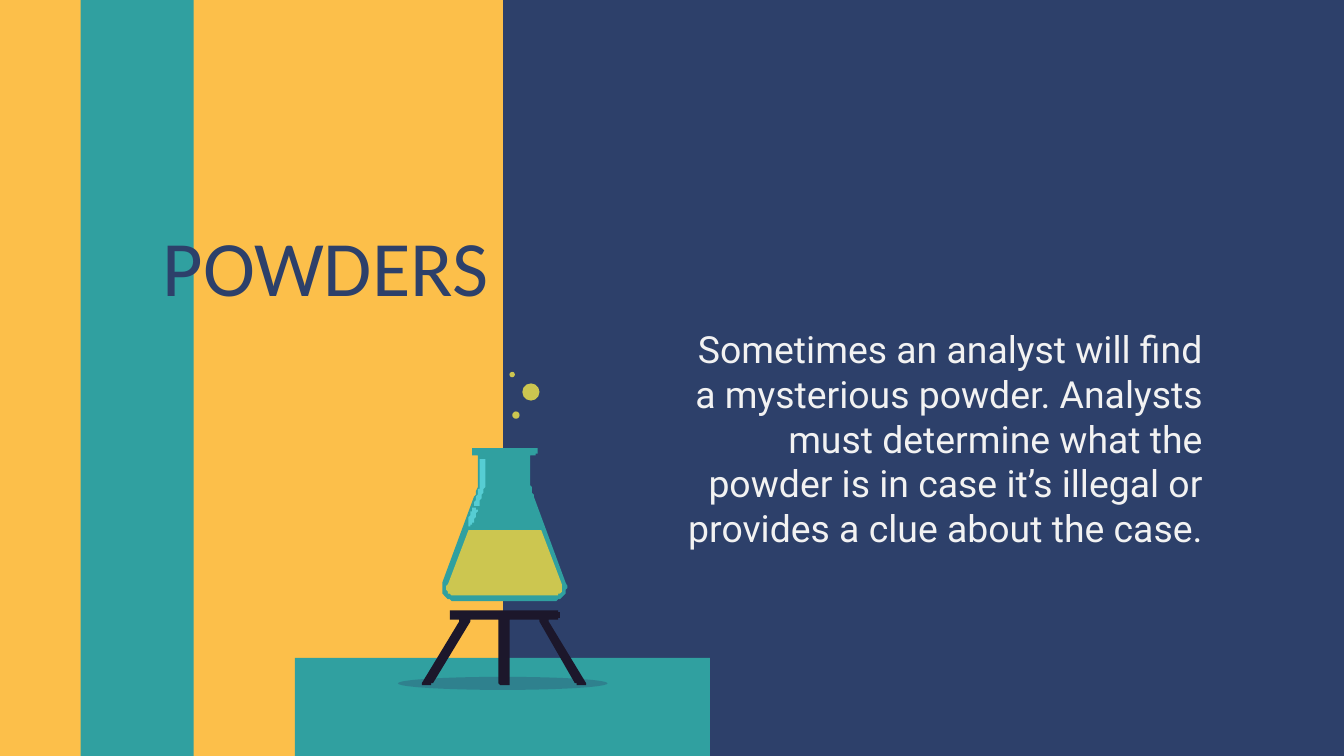
from dataclasses import dataclass

from lxml.etree import SubElement
from pptx import Presentation
from pptx.dml.color import RGBColor as Rgb
from pptx.enum.shapes import MSO_SHAPE as Preset
from pptx.enum.text import MSO_ANCHOR as Anchor, MSO_AUTO_SIZE as AutoSize, PP_ALIGN as Align
from pptx.oxml.ns import qn
from pptx.util import Pt

Point = tuple[float, float]
# A path step is (x, y) for a line or (x1, y1, x2, y2, x, y) for a curve.
Step = tuple[float, ...]


@dataclass(frozen=True)
class Theme:
    yellow: str = "FCBF4A"
    navy: str = "2D406A"
    teal: str = "30A0A0"
    ink: str = "1C172B"
    lime: str = "CCC650"
    glint: str = "56CDD3"
    white: str = "F2F2F2"
    title_font: str = "Calibri"
    body_font: str = "Roboto"
    title_size: float = 42
    body_size: float = 20


@dataclass(frozen=True)
class Frame:
    left: float
    top: float
    width: float
    height: float


@dataclass(frozen=True)
class Bubble:
    x: float
    y: float
    diameter: float


THEME = Theme()
WIDTH, HEIGHT = 720, 405
AXIS = 270.2
PANEL_LEFT = 269.5
BENCH_TOP = 352.5

BUBBLES = [Bubble(274.4, 200.7, 2.9), Bubble(284.4, 210, 9.2), Bubble(276.4, 222.4, 3.9)]

# Right halves, with x measured from the axis
FLASK: list[Step] = [
    (17.4, 239.8), (17.4, 241.9), (17.4, 243.4, 16.6, 244.1, 15.1, 244.1),
    (13.7, 244.1), (13.7, 252.7), (13.7, 257.8, 14.4, 262.1, 16.2, 266.4),
    (33, 312.5), (34.6, 316.8, 31, 321.8, 26.6, 321.8),
]
LIQUID: list[Step] = [
    (19.5, 283.7), (30.7, 313.2), (31, 314.6, 31, 316.1, 30.2, 317.5),
    (29.2, 318.4, 28.1, 319, 26.6, 319),
]
STAND: list[Step] = [
    (27.4, 326.9), (28.8, 326.9, 29.5, 327.6, 29.5, 329), (29.5, 329.8),
    (29.5, 331.2, 28.8, 331.9, 27.4, 331.9), (23.8, 331.9), (23.8, 332.6),
    (43.9, 365.8), (44, 366.5, 43.6, 367.2, 42.2, 367.2), (40.8, 367.2),
    (39.6, 367.2, 38.9, 366.5, 38.2, 365.8), (18.7, 332.6), (18.7, 331.9),
    (2.9, 331.9), (2.9, 365.8), (2.9, 366.5, 2.2, 367.2, 0.7, 367.2),
]

# Whole outlines, in slide coordinates
GLINTS: list[list[Step]] = [
    [
        (254.2, 272.2), (253.4, 272.2, 252.7, 272.9, 252.7, 273.6),
        (251.3, 276.5, 250.6, 279.4, 250.6, 279.4),
        (250.6, 280.1, 250.6, 280.8, 251.3, 281.5), (252, 281.5),
        (252.7, 281.5, 253.4, 280.8, 253.4, 280.1),
        (253.4, 280.1, 254.2, 277.9, 255.6, 274.3),
        (255.6, 273.6, 255.6, 272.9, 254.9, 272.2),
    ],
    [
        (258.5, 245.5), (257.8, 245.5, 257, 246.2, 257, 247),
        (257, 247.7, 257.8, 256.3, 257, 260.6),
        (256.3, 262.1, 255.6, 264.2, 254.9, 267.8), (254.2, 269.3),
        (254.2, 270, 254.2, 270.7, 254.9, 270.7), (255.6, 270.7),
        (256.3, 270.7, 257, 270.7, 257, 270), (257, 268.6),
        (258.5, 265, 259.2, 262.8, 259.9, 260.6),
        (260.6, 256.3, 259.9, 247.7, 259.9, 247),
        (259.9, 246.2, 259.2, 245.5, 258.5, 245.5),
    ],
]


def flatten(steps: list[Step], pieces: int = 10) -> list[Point]:
    """Turn lines and cubic curves into a list of corner points."""
    points: list[Point] = []
    for step in steps:
        if len(step) == 2:
            points.append(step)
            continue
        (x0, y0), (x1, y1, x2, y2, x3, y3) = points[-1], step
        for piece in range(1, pieces + 1):
            t = piece / pieces
            u = 1 - t
            a, b, c, d = u**3, 3 * u * u * t, 3 * u * t * t, t**3
            points.append((a * x0 + b * x1 + c * x2 + d * x3,
                           a * y0 + b * y1 + c * y2 + d * y3))
    return points


def mirrored(half: list[Step]) -> list[Point]:
    """Complete a right half with its reflection in the axis."""
    points = flatten(half)
    return ([(AXIS + x, y) for x, y in points]
            + [(AXIS - x, y) for x, y in reversed(points)])


def paint(shape, color: str, alpha: int = 100) -> None:
    shape.shadow.inherit = False
    shape.line.fill.background()
    shape.fill.solid()
    shape.fill.fore_color.rgb = Rgb.from_string(color)
    if alpha < 100:
        tint = shape.element.spPr.find(".//" + qn("a:srgbClr"))
        SubElement(tint, qn("a:alpha")).set("val", str(alpha * 1000))


def place(shape, frame: Frame) -> None:
    shape.left, shape.top = Pt(frame.left), Pt(frame.top)
    shape.width, shape.height = Pt(frame.width), Pt(frame.height)


def add_preset(shapes, preset: Preset, frame: Frame, color: str, alpha: int = 100) -> None:
    shape = shapes.add_shape(preset, 0, 0, 0, 0)
    place(shape, frame)
    paint(shape, color, alpha)


def add_outline(shapes, points: list[Point], color: str) -> None:
    start, *rest = points
    builder = shapes.build_freeform(*start, scale=float(Pt(1)))
    builder.add_line_segments(rest, close=True)
    paint(builder.convert_to_shape(), color)


def write(box, text: str, *, font: str, size: float, color: str,
          align: Align, anchor: Anchor) -> None:
    frame = box.text_frame
    frame.auto_size = AutoSize.NONE
    frame.word_wrap = True
    frame.vertical_anchor = anchor
    frame.margin_left = frame.margin_right = Pt(7.2)
    frame.margin_top = frame.margin_bottom = Pt(7.2)
    para = frame.paragraphs[0]
    para.alignment = align
    span = para.add_run()
    span.text = text
    span.font.name, span.font.size = font, Pt(size)
    span.font.color.rgb = Rgb.from_string(color)


def draw_experiment(shapes) -> None:
    add_preset(shapes, Preset.RECTANGLE,
               Frame(158, BENCH_TOP, 222.4, HEIGHT - BENCH_TOP), THEME.teal)
    add_preset(shapes, Preset.OVAL, Frame(213.2, 362.6, 112.3, 7), THEME.navy, 32)
    for half, color in ((STAND, THEME.ink), (FLASK, THEME.teal), (LIQUID, THEME.lime)):
        add_outline(shapes, mirrored(half), color)
    for glint in GLINTS:
        add_outline(shapes, flatten(glint), THEME.glint)
    for bubble in BUBBLES:
        size = bubble.diameter
        add_preset(shapes, Preset.OVAL,
                   Frame(bubble.x - size / 2, bubble.y - size / 2, size, size), THEME.lime)


def main() -> None:
    deck = Presentation()
    deck.slide_width, deck.slide_height = Pt(WIDTH), Pt(HEIGHT)
    page = deck.slides.add_slide(deck.slide_layouts[5])
    page.background.fill.solid()
    page.background.fill.fore_color.rgb = Rgb.from_string(THEME.yellow)

    add_preset(page.shapes, Preset.RECTANGLE,
               Frame(PANEL_LEFT, 0, WIDTH - PANEL_LEFT, HEIGHT), THEME.navy)
    add_preset(page.shapes, Preset.RECTANGLE, Frame(43.2, 0, 60.6, HEIGHT), THEME.teal)

    title = page.shapes.title
    page.shapes.element.append(title.element)  # bring in front of the panels
    place(title, Frame(80, 136, 189.5, 38.4))
    write(title, "POWDERS", font=THEME.title_font, size=THEME.title_size,
          color=THEME.navy, align=Align.LEFT, anchor=Anchor.BOTTOM)

    draw_experiment(page.shapes.add_group_shape().shapes)

    body = page.shapes.add_textbox(0, 0, 0, 0)
    place(body, Frame(357.8, 221, 293.8, 27.4))
    write(body, "Sometimes an analyst will find a mysterious powder. Analysts must "
          "determine what the powder is in case it’s illegal or provides a clue "
          "about the case.", font=THEME.body_font, size=THEME.body_size,
          color=THEME.white, align=Align.RIGHT, anchor=Anchor.MIDDLE)
    deck.save("out.pptx")


if __name__ == "__main__":
    main()
